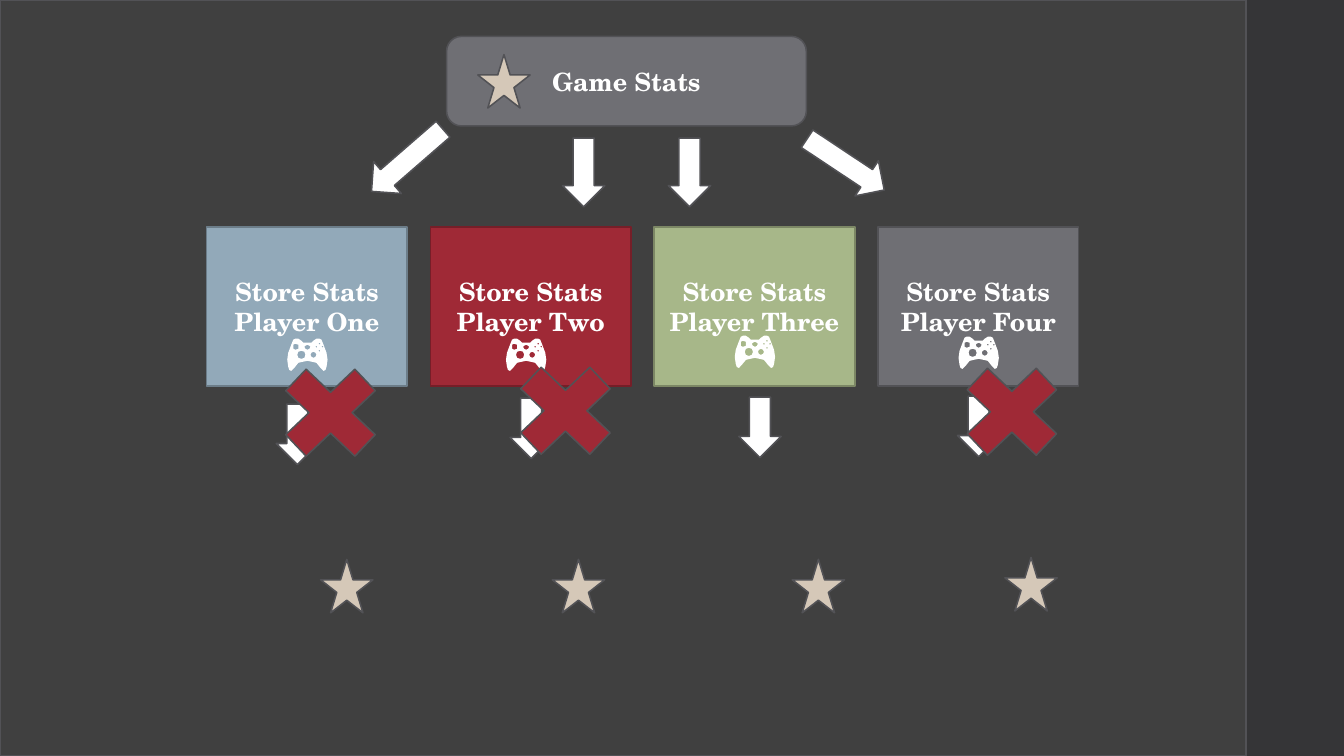
from dataclasses import dataclass
from math import cos, pi, sin

from pptx import Presentation
from pptx.dml.color import RGBColor
from pptx.enum import shapes, text
from pptx.util import Pt

SHAPE = shapes.MSO_SHAPE


@dataclass(frozen=True)
class Theme:
    font: str = "TeX Gyre Schola"
    size: float = 18
    outline: float = 1.1
    white: str = "FFFFFF"
    stage: str = "404040"
    side: str = "353537"
    edge: str = "525256"
    gray: str = "6F6F74"
    blue: str = "92A9B9"
    blue_edge: str = "6C7D89"
    red: str = "9F2936"
    red_edge: str = "761E28"
    green: str = "A7B789"
    green_edge: str = "7C8765"
    star: str = "D5C8B8"


T = Theme()
ARROW_W = 30.2
STAR_SIZE = (37.4, 38.2)
CROSS_SIZE = (95, 90)

PAD_UNIT = 0.72
PAD_HALF = [
    (0, 4), (4, 3.6), (6.5, 1.6), (9, 0.3), (12, 0.2), (14.5, 1.3),
    (16.5, 6), (18.7, 14), (19.7, 21), (19.3, 28), (18.3, 31),
    (16.5, 31.5), (13.3, 29), (9, 24), (5, 22.7), (0, 22.3),
]
PAD_HOLES = [
    (15, 8, 1.4, 4), (12, 5, 1.4, 4), (12, 12, 1.4, 4), (9, 8, 1.4, 4),
    (6, 16, 2.8, 8), (0, 8.5, 2.6, 8), (-6, 16, 4, 8), (-11.5, 8, 2.9, 8),
]


def rgb(value):
    return RGBColor.from_string(value)


def paint(sp, fill, line=None):
    sp.shadow.inherit = False
    sp.fill.solid()
    sp.fill.fore_color.rgb = rgb(fill)
    if line:
        sp.line.color.rgb = rgb(line)
        sp.line.width = Pt(T.outline)
    else:
        sp.line.fill.background()


def add(s, kind, box, fill, line=T.edge, lines=(), rotation=0):
    sp = s.shapes.add_shape(kind, *map(Pt, box))
    paint(sp, fill, line)
    sp.rotation = rotation
    if lines:
        tf = sp.text_frame
        tf.word_wrap = True
        tf.vertical_anchor = text.MSO_ANCHOR.MIDDLE
        for i, line_text in enumerate(lines):
            p = tf.paragraphs[0] if i == 0 else tf.add_paragraph()
            p.text = line_text
            p.alignment = text.PP_ALIGN.CENTER
            p.font.name = T.font
            p.font.size = Pt(T.size)
            p.font.bold = True
            p.font.color.rgb = rgb(T.white)


def circle(x, y, radius, corners):
    angles = (2 * pi * n / corners for n in range(corners))
    return [(x + radius * cos(a), y + radius * sin(a)) for a in angles]


def gamepad(s, center, top):
    body = PAD_HALF + [(-x, y) for x, y in reversed(PAD_HALF[1:-1])]
    builder = s.shapes.build_freeform(*body[0], scale=Pt(PAD_UNIT))
    builder.add_line_segments(body[1:])
    for hole in PAD_HOLES:
        points = circle(*hole)
        builder.move_to(*points[0])
        builder.add_line_segments(points[1:])
    paint(builder.convert_to_shape(Pt(center), Pt(top)), T.white)


def backdrop(s, box):
    left, top, width, height = box
    stage_w = 890
    add(s, SHAPE.RECTANGLE, (left + stage_w, top, width - stage_w, height), T.side, None)
    add(s, SHAPE.RECTANGLE, (left, top, stage_w, height), T.stage)


def header(s, box):
    left, top = box[:2]
    add(s, SHAPE.ROUNDED_RECTANGLE, box, T.gray, lines=["Game Stats"])
    for dx, dy, length, angle in [
        (-43.2, 54.7, 67.7, 49), (82.8, 72.7, 49, 0),
        (158.4, 72.7, 49, 0), (270, 58.3, 66.2, 303.6),
    ]:
        add(s, SHAPE.DOWN_ARROW, (left + dx, top + dy, ARROW_W, length),
            T.white, rotation=angle)
    add(s, SHAPE.STAR_5_POINT, (left + 22.3, top + 13, *STAR_SIZE), T.star)


def player_column(s, box, name, fill, edge, pad, arrow, cross, star):
    left, top = box[:2]

    def spot(offset, size):
        return (left + offset[0], top + offset[1], *size)

    add(s, SHAPE.RECTANGLE, box, fill, edge, ["Store Stats", f"Player {name}"])
    gamepad(s, left + pad[0], top + pad[1])
    add(s, SHAPE.DOWN_ARROW, spot(arrow, (ARROW_W, 43.2)), T.white)
    if cross:
        add(s, SHAPE.MATH_MULTIPLY, spot(cross, CROSS_SIZE), T.red)
    add(s, SHAPE.STAR_5_POINT, spot(star, STAR_SIZE), T.star)


def players(s, box):
    left, top, width, height = box
    card_w = 143.3
    columns = [
        ("One", T.blue, T.blue_edge, (72, 79.9), (49.7, 126.7), (41, 87.8), (81.4, 237.6)),
        ("Two", T.red, T.red_edge, (68.4, 79.9), (56.9, 122.4), (49, 86.4), (87.1, 237.6)),
        ("Three", T.green, T.green_edge, (72, 77.8), (60.5, 121.7), None, (98.6, 237.6)),
        ("Four", T.gray, T.edge, (72, 78.5), (56.9, 121), (48.2, 87.1), (90.7, 236.2)),
    ]
    step = (width - card_w) / (len(columns) - 1)
    for i, column in enumerate(columns):
        player_column(s, (left + i * step, top, card_w, height), *column)


def main():
    prs = Presentation()
    prs.slide_width, prs.slide_height = Pt(960), Pt(540)
    s = prs.slides.add_slide(prs.slide_layouts[6])
    backdrop(s, (0, 0, 960, 540))
    players(s, (147.6, 162, 622.8, 113.8))
    header(s, (319, 26, 257, 64))
    prs.save("out.pptx")


if __name__ == "__main__":
    main()
